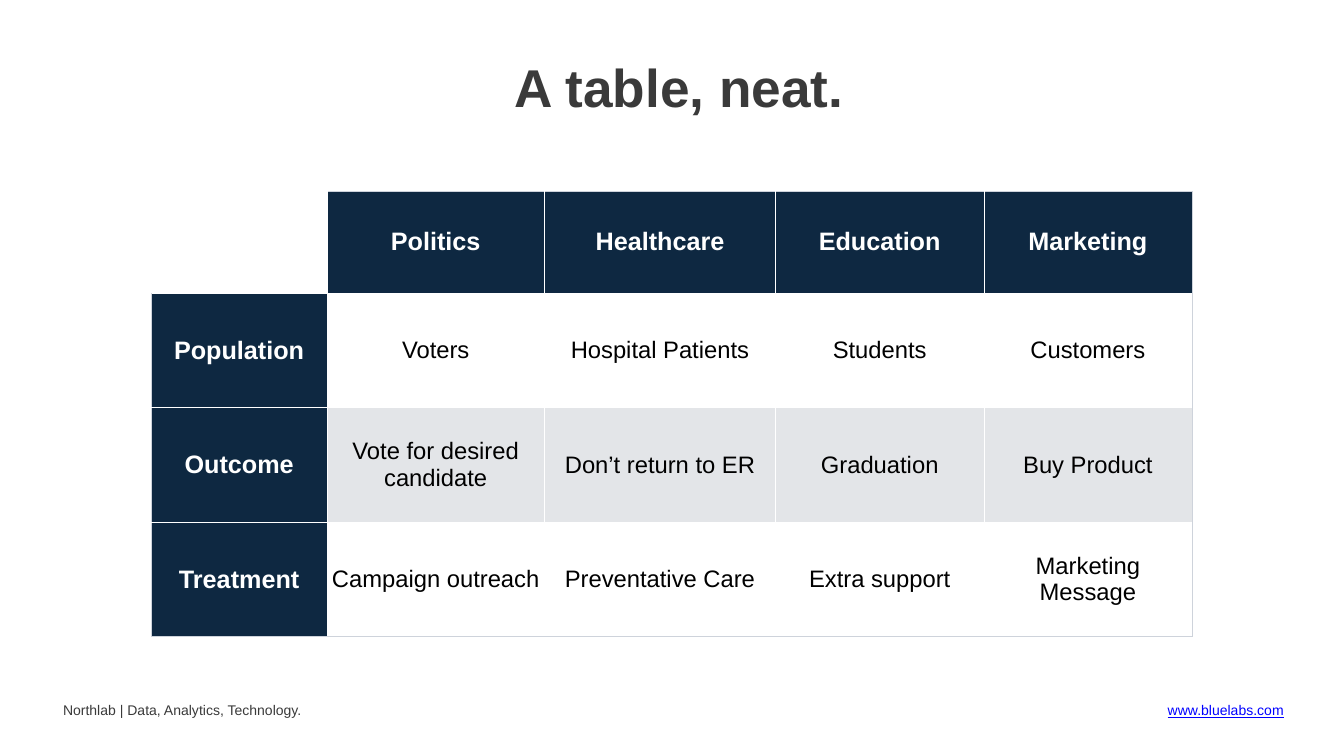
from dataclasses import dataclass

from lxml.etree import SubElement
from pptx import Presentation
from pptx.dml.color import RGBColor
from pptx.enum.text import MSO_ANCHOR, MSO_AUTO_SIZE, PP_ALIGN
from pptx.oxml.ns import qn
from pptx.util import Pt


@dataclass(frozen=True)
class Theme:
    font: str = "Arial"
    navy: str = "0E2841"
    grey: str = "E3E5E8"
    white: str = "FFFFFF"
    black: str = "000000"
    text: str = "3A3A3A"
    link: str = "0000FF"
    edge: str = "CED3DB"
    title_size: int = 76
    header_size: int = 36
    cell_size: int = 34
    footer_size: int = 20


T = Theme()

ROWS = [
    ["", "Politics", "Healthcare", "Education", "Marketing"],
    ["Population", "Voters", "Hospital Patients", "Students", "Customers"],
    ["Outcome", "Vote for desired candidate", "Don’t return to ER", "Graduation", "Buy Product"],
    ["Treatment", "Campaign outreach", "Preventative Care", "Extra support", "Marketing Message"],
]
COL_WIDTHS = [251.3, 310.3, 330.5, 297.4, 297.4]
ROW_HEIGHTS = [146] + [163.5] * 3


def set_attrs(obj, values):
    for name, value in values.items():
        setattr(obj, name, value)


def set_margins(obj, size):
    set_attrs(obj, {f"margin_{side}": Pt(size) for side in ("left", "top", "right", "bottom")})


def write(tf, text, size, color, align, bold=False, underline=False):
    p = tf.paragraphs[0]
    p.alignment = align
    r = p.add_run()
    r.text = text
    set_attrs(r.font, {"name": T.font, "size": Pt(size), "bold": bold, "underline": underline})
    r.font.color.rgb = RGBColor.from_string(color)
    return p


def add_title(s, text):
    sp = s.shapes.title
    set_attrs(sp, {"left": Pt(95), "top": Pt(65), "width": Pt(1750), "height": Pt(115)})
    tf = sp.text_frame
    set_attrs(tf, {"word_wrap": True, "auto_size": MSO_AUTO_SIZE.NONE,
                   "vertical_anchor": MSO_ANCHOR.MIDDLE})
    set_margins(tf, 5.76)
    write(tf, text, T.title_size, T.text, PP_ALIGN.CENTER, bold=True)


def add_footer(s, left, text, color, align, underline=False):
    tf = s.shapes.add_textbox(Pt(left), Pt(1000), Pt(389), Pt(37.5)).text_frame
    tf.word_wrap = True
    set_margins(tf, 5)
    p = write(tf, text, T.footer_size, color, align, underline=underline)
    p.line_spacing = 0.9


def add_borders(cell, colors):
    tc_pr = cell._tc.get_or_add_tcPr()
    for side, color in colors.items():
        ln = SubElement(tc_pr, qn(f"a:ln{side}"), w=str(Pt(1)))
        fill = SubElement(ln, qn("a:solidFill"))
        SubElement(fill, qn("a:srgbClr"), val=color)


def add_grid(s):
    last_row, last_col = len(ROWS) - 1, len(COL_WIDTHS) - 1
    table = s.shapes.add_table(len(ROWS), len(COL_WIDTHS), Pt(216), Pt(273),
                               Pt(sum(COL_WIDTHS)), Pt(sum(ROW_HEIGHTS))).table
    for col, width in zip(table.columns, COL_WIDTHS):
        col.width = Pt(width)
    for row, height in zip(table.rows, ROW_HEIGHTS):
        row.height = Pt(height)

    for i, texts in enumerate(ROWS):
        for j, text in enumerate(texts):
            cell = table.cell(i, j)
            set_margins(cell, 3.6)
            cell.vertical_anchor = MSO_ANCHOR.MIDDLE

            # Outer edges are tinted, inner lines and the empty corner are white
            outer = {"L": j == 0, "R": j == last_col, "T": i == 0, "B": i == last_row}
            add_borders(cell, {side: T.edge if is_outer and text else T.white
                               for side, is_outer in outer.items()})
            if not text:
                cell.fill.background()
                continue

            header = i == 0 or j == 0
            band = T.grey if i == 2 else T.white
            cell.fill.solid()
            cell.fill.fore_color.rgb = RGBColor.from_string(T.navy if header else band)
            write(cell.text_frame, text, T.header_size if header else T.cell_size,
                  T.white if header else T.black, PP_ALIGN.CENTER, bold=header)


def main():
    prs = Presentation()
    set_attrs(prs, {"slide_width": Pt(1920), "slide_height": Pt(1080)})
    s = prs.slides.add_slide(prs.slide_layouts[5])

    # Footer
    add_footer(s, 85, "Northlab | Data, Analytics, Technology.", T.text, PP_ALIGN.LEFT)
    add_footer(s, 1450, "www.bluelabs.com", T.link, PP_ALIGN.RIGHT, underline=True)

    # Title and table
    add_title(s, "A table, neat.")
    add_grid(s)

    prs.save("out.pptx")


if __name__ == "__main__":
    main()
